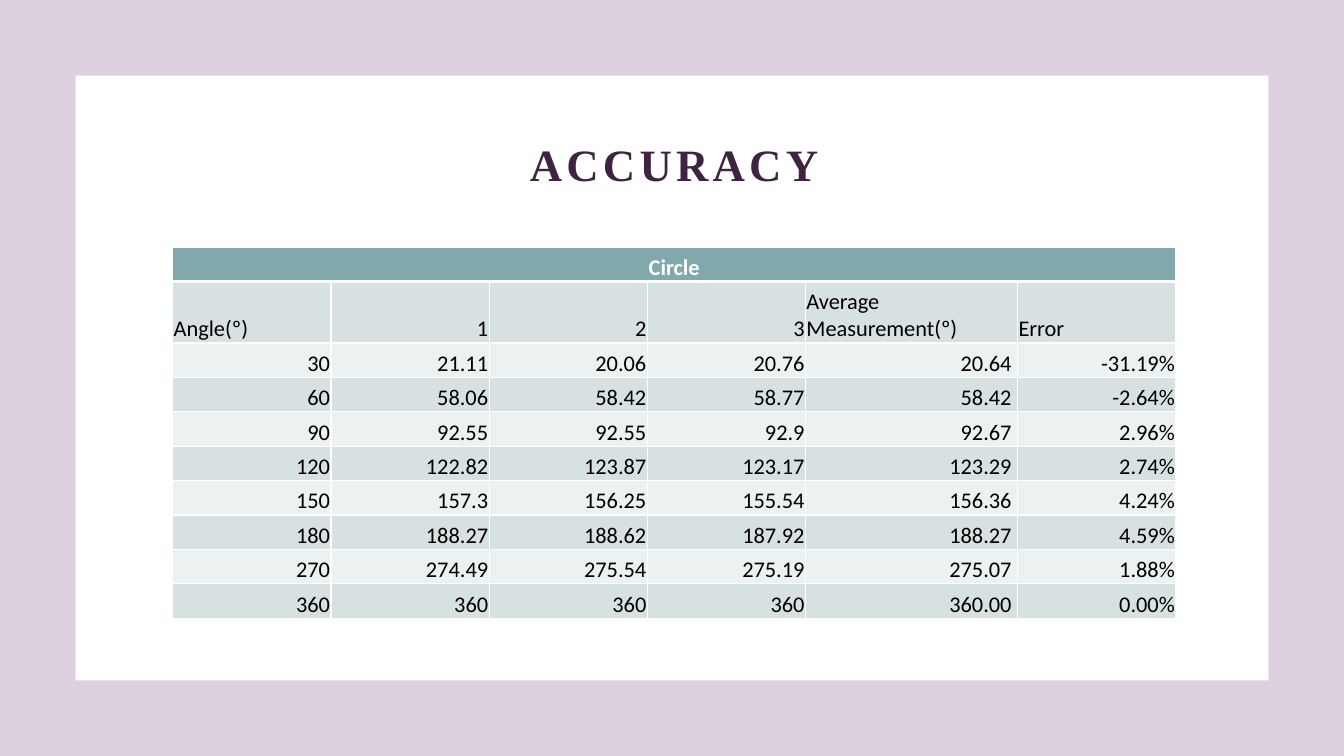
from lxml.etree import SubElement, fromstring
from pptx import Presentation
from pptx.dml.color import RGBColor
from pptx.enum.shapes import MSO_SHAPE
from pptx.enum.text import MSO_ANCHOR as ANCHOR, PP_ALIGN as ALIGN
from pptx.oxml.ns import nsdecls, qn
from pptx.util import Pt

COLORS = {
    "backdrop": "7F4883",
    "white": "FFFFFF",
    "title": "3F2441",
    "header": "81A8AB",
    "dark_band": "D8E1E2",
    "light_band": "EDF1F1",
    "text": "000000",
}

HEADINGS = ["Angle(º)", "1", "2", "3", "Average Measurement(º)", "Error"]
READINGS = [
    ["30", "21.11", "20.06", "20.76", "20.64 ", "-31.19%"],
    ["60", "58.06", "58.42", "58.77", "58.42 ", "-2.64%"],
    ["90", "92.55", "92.55", "92.9", "92.67 ", "2.96%"],
    ["120", "122.82", "123.87", "123.17", "123.29 ", "2.74%"],
    ["150", "157.3", "156.25", "155.54", "156.36 ", "4.24%"],
    ["180", "188.27", "188.62", "187.92", "188.27 ", "4.59%"],
    ["270", "274.49", "275.54", "275.19", "275.07 ", "1.88%"],
    ["360", "360", "360", "360", "360.00 ", "0.00%"],
]
COL_WIDTHS = [113, 113, 113, 113, 151.5, 113]
ROW_HEIGHTS = [24.6, 44] + [24.6] * len(READINGS)


def rgb(name):
    return RGBColor.from_string(COLORS[name])


def style_font(p, font, size, color, bold):
    for r in p.runs:
        r.font.name = font
        r.font.size = Pt(size)
        r.font.color.rgb = rgb(color)
        r.font.bold = bold


def add_panel(s, left, top, width, height, color, opacity=100):
    sp = s.shapes.add_shape(
        MSO_SHAPE.RECTANGLE, Pt(left), Pt(top), Pt(width), Pt(height))
    sp.shadow.inherit = False
    sp.fill.solid()
    sp.fill.fore_color.rgb = rgb(color)
    sp.line.fill.background()
    if opacity < 100:
        clr = sp.fill._xPr.find(qn("a:solidFill"))[0]
        SubElement(clr, qn("a:alpha")).set("val", str(opacity * 1000))


def add_title(s, text):
    tf = s.shapes.add_textbox(Pt(108), Pt(84), Pt(747), Pt(70.5)).text_frame
    tf.word_wrap = True
    tf.vertical_anchor = ANCHOR.MIDDLE
    p = tf.paragraphs[0]
    p.text = text
    p.alignment = ALIGN.CENTER
    p.line_spacing = 0.9
    style_font(p, "Times New Roman", 32, "title", True)
    for r in p.runs:
        r.font._element.set("spc", "300")


def set_borders(cell, top, bottom):
    tc_pr = cell._tc.get_or_add_tcPr()
    widths = {"lnL": 1, "lnR": 1, "lnT": top, "lnB": bottom}
    for i, (side, width) in enumerate(widths.items()):
        tc_pr.insert(i, fromstring(
            f'<a:{side} {nsdecls("a")} w="{Pt(width)}"><a:solidFill>'
            f'<a:srgbClr val="{COLORS["white"]}"/></a:solidFill></a:{side}>'))


def format_cell(cell, text, align, fill, color="text", bold=False):
    cell.text_frame.text = text
    cell.vertical_anchor = ANCHOR.BOTTOM
    cell.margin_left = cell.margin_right = cell.margin_top = Pt(0.7)
    cell.margin_bottom = Pt(0)
    cell.fill.solid()
    cell.fill.fore_color.rgb = rgb(fill)
    p = cell.text_frame.paragraphs[0]
    p.alignment = align
    style_font(p, "Calibri", 16, color, bold)


def add_accuracy_table(s):
    table = s.shapes.add_table(
        len(ROW_HEIGHTS), len(COL_WIDTHS), Pt(123.4), Pt(176.4),
        Pt(sum(COL_WIDTHS)), Pt(sum(ROW_HEIGHTS))).table
    for col, width in zip(table.columns, COL_WIDTHS):
        col.width = Pt(width)
    for row, height in zip(table.rows, ROW_HEIGHTS):
        row.height = Pt(height)

    table.cell(0, 0).merge(table.cell(0, len(COL_WIDTHS) - 1))
    format_cell(table.cell(0, 0), "Circle", ALIGN.CENTER, "header", "white", True)
    for i, values in enumerate([HEADINGS] + READINGS, start=1):
        fill = "dark_band" if i % 2 else "light_band"
        for j, value in enumerate(values):
            is_label = i == 1 and not value.isdigit()
            align = ALIGN.LEFT if is_label else ALIGN.RIGHT
            format_cell(table.cell(i, j), value, align, fill)
    for i, row in enumerate(table.rows):
        for cell in row.cells:
            set_borders(cell, 3 if i == 1 else 1, 3 if i == 0 else 1)


def main():
    prs = Presentation()
    prs.slide_width, prs.slide_height = Pt(960), Pt(540)
    s = prs.slides.add_slide(prs.slide_layouts[6])
    add_panel(s, 0, 0, 960, 540, "backdrop", 25)
    add_panel(s, 54, 54, 852, 432, "white")
    add_title(s, "ACCURACY")
    add_accuracy_table(s)
    prs.save("out.pptx")


if __name__ == "__main__":
    main()
